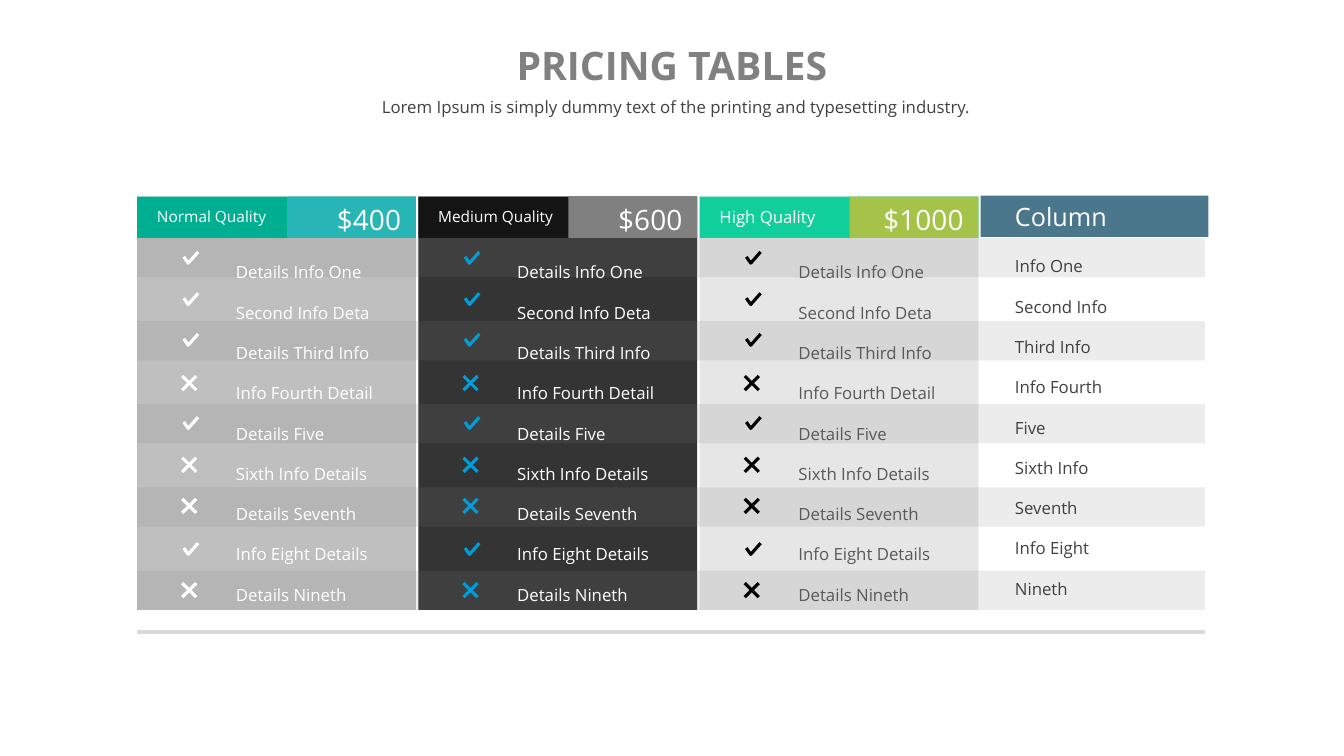
from dataclasses import dataclass

from lxml import etree
from pptx import Presentation
from pptx.dml.color import RGBColor
from pptx.enum.shapes import MSO_CONNECTOR, MSO_SHAPE
from pptx.enum.text import MSO_ANCHOR, PP_ALIGN
from pptx.oxml.ns import qn
from pptx.util import Pt

RECTANGLE = MSO_SHAPE.RECTANGLE
STRAIGHT = MSO_CONNECTOR.STRAIGHT
TOP, MIDDLE = MSO_ANCHOR.TOP, MSO_ANCHOR.MIDDLE
LEFT, CENTER, RIGHT = PP_ALIGN.LEFT, PP_ALIGN.CENTER, PP_ALIGN.RIGHT


@dataclass(frozen=True)
class Theme:
    font: str = "Open Sans"
    title_size: float = 28
    price_size: float = 20
    column_size: float = 18
    body_size: float = 12
    small_size: float = 11
    white: str = "FFFFFF"
    black: str = "000000"
    gray: str = "808080"
    text: str = "404040"
    muted_text: str = "595959"
    rule: str = "D9D9D9"
    column: str = "4B778D"
    light_body: str = "E6E6E6"
    mid_body: str = "BFBFBF"
    dark_body: str = "343434"
    ink: str = "0D0D0D"
    blue: str = "009DD9"
    teal: str = "00AF91"
    aqua: str = "28B5B5"
    green: str = "10CF9B"
    lime: str = "A5C249"


@dataclass(frozen=True)
class Plan:
    label: str
    price: str
    body: str
    header: str
    price_panel: str
    mark: str
    text: str
    label_size: float
    header_opacity: int = 100


THEME = Theme()
PLANS = [
    Plan("Normal Quality", "$400", THEME.mid_body, THEME.teal, THEME.aqua,
         THEME.white, THEME.white, THEME.small_size),
    Plan("Medium Quality", "$600", THEME.dark_body, THEME.ink, THEME.gray,
         THEME.blue, THEME.white, THEME.small_size, 80),
    Plan("High Quality", "$1000", THEME.light_body, THEME.green, THEME.lime,
         THEME.black, THEME.muted_text, THEME.body_size),
]
DETAILS = ["Details Info One", "Second Info Deta", "Details Third Info",
           "Info Fourth Detail", "Details Five", "Sixth Info Details",
           "Details Seventh", "Info Eight Details", "Details Nineth"]
COLUMN_INFO = ["Info One", "Second Info", "Third Info", "Info Fourth", "Five",
               "Sixth Info", "Seventh", "Info Eight", "Nineth"]
# (included in the plan, top of its mark)
MARKS = [(True, 180), (True, 209.5), (True, 238.6), (False, 268.6),
         (True, 298), (False, 327), (False, 356.4), (True, 388), (False, 416.5)]

TABLE_LEFT, TABLE_TOP = 97.9, 140.4
TABLE_WIDTH, TABLE_HEIGHT = 763, 295.2
PLAN_PITCH, PLAN_WIDTH = 200.9, 199.2
HEADER_HEIGHT = 29.5
STRIPE_PITCH, STRIPE_HEIGHT = 59.4, 28.1
PRICE_OFFSET = 107.2
INFO_LEFT = 725


class SlideBuilder:
    def __init__(self, slide, theme):
        self.shapes = slide.shapes
        self.theme = theme

    def box(self, left, top, width, height, color, opacity=100):
        box = self.shapes.add_shape(
            RECTANGLE, Pt(left), Pt(top), Pt(width), Pt(height))
        box.shadow.inherit = False
        box.line.fill.background()
        box.fill.solid()
        box.fill.fore_color.rgb = RGBColor.from_string(color)
        if opacity < 100:
            solid = box.fill._xPr.find(qn("a:solidFill"))
            etree.SubElement(solid[0], qn("a:alpha"), val=str(opacity * 1000))

    def text(self, content, left, top, width, height, *, size, color,
             bold=False, align=LEFT, anchor=MIDDLE, spacing=None, inset=0):
        """Write a string, or a list with one paragraph per item."""
        frame = self.shapes.add_textbox(
            Pt(left), Pt(top), Pt(width), Pt(height)).text_frame
        frame.word_wrap = True
        frame.vertical_anchor = anchor
        frame.margin_left = frame.margin_right = Pt(2 * inset)
        frame.margin_top = frame.margin_bottom = Pt(inset)
        lines = [content] if isinstance(content, str) else content
        for index, line in enumerate(lines):
            paragraph = frame.add_paragraph() if index else frame.paragraphs[0]
            paragraph.alignment = align
            if spacing:
                paragraph.line_spacing = spacing
            run = paragraph.add_run()
            run.text = line
            run.font.name = self.theme.font
            run.font.size = Pt(size)
            run.font.bold = bold
            run.font.color.rgb = RGBColor.from_string(color)

    def line(self, x1, y1, x2, y2, color, weight):
        line = self.shapes.add_connector(
            STRAIGHT, Pt(x1), Pt(y1), Pt(x2), Pt(y2))
        line.line.color.rgb = RGBColor.from_string(color)
        line.line.width = Pt(weight)
        etree.SubElement(line._element.spPr, qn("a:effectLst"))

    def check(self, left, top, color):
        builder = self.shapes.build_freeform(Pt(left), Pt(top + 3.5))
        builder.add_line_segments(
            [(Pt(left + 3.2), Pt(top + 8)), (Pt(left + 10.2), Pt(top))],
            close=False)
        tick = builder.convert_to_shape()
        tick.shadow.inherit = False
        tick.fill.background()
        tick.line.color.rgb = RGBColor.from_string(color)
        tick.line.width = Pt(2.25)

    def cross(self, left, top, color):
        right, bottom = left + 10, top + 10
        self.line(left, top, right, bottom, color, 2.25)
        self.line(left, bottom, right, top, color, 2.25)

    def plan(self, plan, left):
        theme = self.theme
        self.box(left, TABLE_TOP, PLAN_WIDTH, HEADER_HEIGHT, plan.header,
                 plan.header_opacity)
        self.text(plan.label, left + 14.2, 144, 83, 21.4,
                  size=plan.label_size, color=theme.white)
        self.box(left + PRICE_OFFSET, TABLE_TOP, PLAN_WIDTH - PRICE_OFFSET,
                 HEADER_HEIGHT, plan.price_panel)
        self.text(plan.price, left + 124.6, 139.7, 64, 33.8,
                  size=theme.price_size, color=theme.white, align=RIGHT)
        for included, top in MARKS:
            if included:
                self.check(left + 33.4, top, plan.mark)
            else:
                self.cross(left + 32.3, top, plan.mark)
        self.text(DETAILS, left + 70.6, 174.2, 106, 256.3,
                  size=theme.body_size, color=plan.text, spacing=2.0)


def main():
    presentation = Presentation()
    presentation.slide_width, presentation.slide_height = Pt(960), Pt(540)
    slide = presentation.slides.add_slide(presentation.slide_layouts[6])
    builder = SlideBuilder(slide, THEME)

    builder.text("PRICING TABLES", 195.1, 28.8, 569.5, 35.3, inset=3.6,
                 size=THEME.title_size, color=THEME.gray, bold=True,
                 align=CENTER)
    builder.text("Lorem Ipsum is simply dummy text of the printing and "
                 "typesetting industry.", 240.5, 65.5, 485.3, 21.6, inset=3.6,
                 size=THEME.body_size, color=THEME.text, align=CENTER,
                 anchor=TOP)

    plan_lefts = [TABLE_LEFT + PLAN_PITCH * i for i in range(len(PLANS))]
    for plan, left in zip(PLANS, plan_lefts):
        builder.box(left, TABLE_TOP, PLAN_WIDTH, TABLE_HEIGHT, plan.body)
    for row in range(0, len(DETAILS), 2):
        stripe_top = TABLE_TOP + HEADER_HEIGHT + STRIPE_PITCH * row / 2
        builder.box(TABLE_LEFT, stripe_top, TABLE_WIDTH, STRIPE_HEIGHT,
                    THEME.gray, 15)
    for plan, left in zip(PLANS, plan_lefts):
        builder.plan(plan, left)

    builder.box(700.5, 139.7, 162.7, HEADER_HEIGHT, THEME.column)
    builder.text("Column", INFO_LEFT, 145.4, 75.6, 18.7,
                 size=THEME.column_size, color=THEME.white)
    builder.text(COLUMN_INFO, INFO_LEFT, 169.9, 208.8, 256.3,
                 size=THEME.body_size, color=THEME.text, spacing=2.0)
    builder.line(TABLE_LEFT, 451.4, TABLE_LEFT + TABLE_WIDTH, 451.4,
                 THEME.rule, 2.5)
    presentation.save("out.pptx")


if __name__ == "__main__":
    main()
